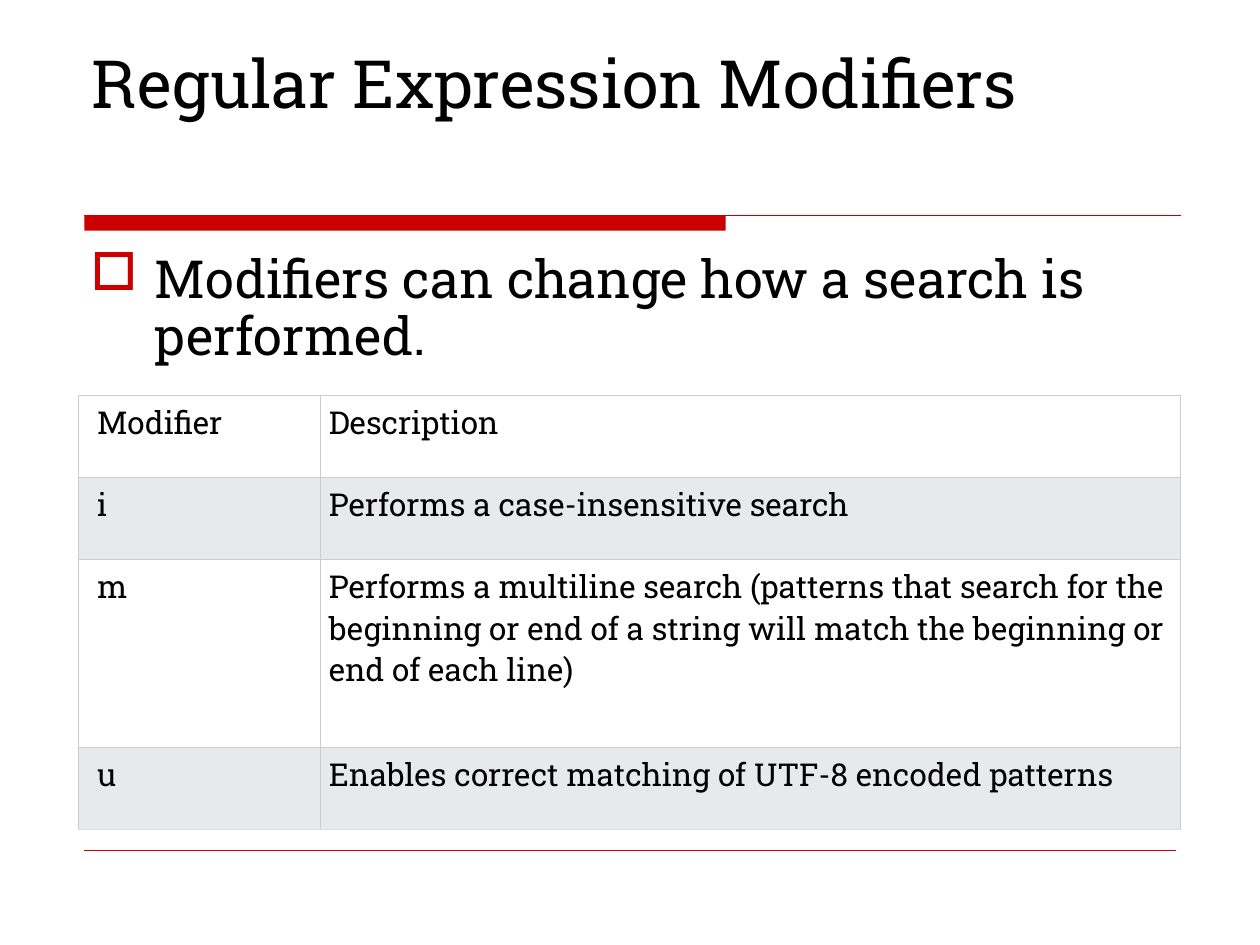
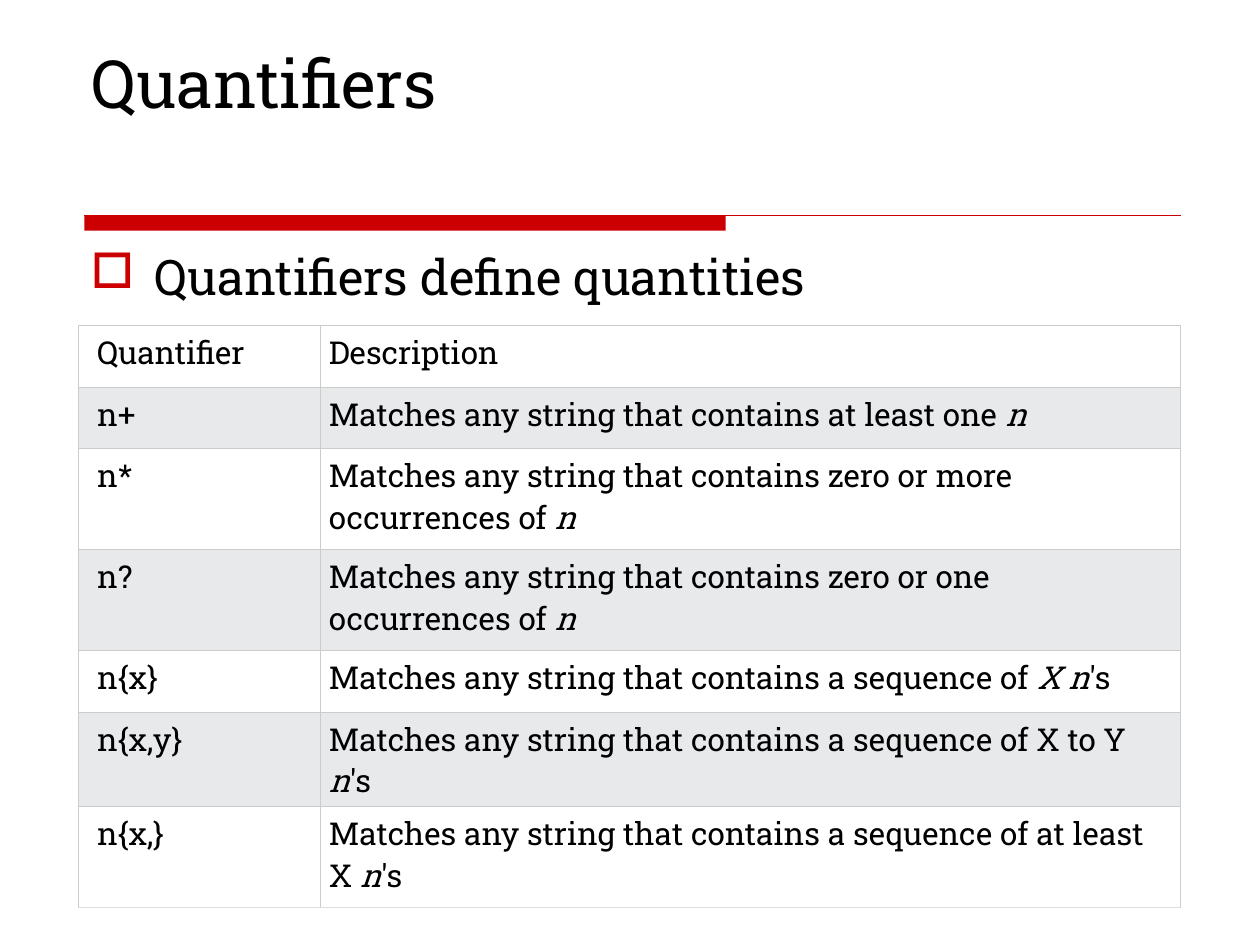
"""Build two slides on regular expression modifiers and quantifiers."""
from lxml import etree
from pptx import Presentation
from pptx.dml.color import RGBColor
from pptx.enum.shapes import MSO_CONNECTOR, MSO_SHAPE
from pptx.oxml import parse_xml
from pptx.oxml.ns import nsdecls, qn
from pptx.util import Emu, Inches, Pt

RECT = MSO_SHAPE.RECTANGLE
LINE = MSO_CONNECTOR.STRAIGHT
COLS, ROWS = 100, 75
UNIT = Inches(10) / COLS
FONT = "Roboto Slab"
RED, BLACK, WHITE, GREY = "CC0000", "000000", "FFFFFF", "E7E9EB"
EDGE, BASE = "CCCCCC", "DDDDDD"
LEFT, WIDE = 6.2, 87.5
SPLIT = (19.2, 68.3)

DECK = [
    {
        "title": "Regular Expression Modifiers",
        "lead": "Modifiers can change how a search is performed.",
        "size": 30,
        "top": 31.4,
        "rows": [
            (6.5, "Modifier", "Description"),
            (6.5, "i", "Performs a case-insensitive search"),
            (14.9, "m", "Performs a multiline search (patterns that search for the "
             "beginning or end of a string will match the beginning or end of each line)"),
            (6.5, "u", "Enables correct matching of UTF-8 encoded patterns"),
        ],
    },
    {
        "title": "Quantifiers",
        "lead": "Quantifiers define quantities",
        "size": 28,
        "top": 25.8,
        "rows": [
            (4.9, "Quantifier", "Description"),
            (4.9, "n+", "Matches any string that contains at least one _n_"),
            (8, "n*", "Matches any string that contains zero or more occurrences of _n_"),
            (8, "n?", "Matches any string that contains zero or one occurrences of _n_"),
            (4.9, "n{x}", "Matches any string that contains a sequence of _X n_'s"),
            (7.5, "n{x,y}", "Matches any string that contains a sequence of X to Y _n_'s"),
            (8, "n{x,}", "Matches any string that contains a sequence of at least X _n_'s"),
        ],
    },
]


def hue(code):
    return RGBColor.from_string(code)


def span(*cells):
    return [Emu(round(cell * UNIT)) for cell in cells]


deck = Presentation()
deck.slide_width, deck.slide_height = span(COLS, ROWS)

for page in DECK:
    slide = deck.slides.add_slide(deck.slide_layouts[6])
    shapes = slide.shapes

    bar = shapes.add_shape(RECT, *span(6.7, 17.1, 50.9, 1.2))
    bar.shadow.inherit = False
    bar.fill.solid()
    bar.fill.fore_color.rgb = hue(RED)
    bar.line.fill.background()

    for row, end, width in ((17.1, 93.7, 0.75), (67.5, 93.3, 0.25)):
        rule = shapes.add_connector(LINE, *span(6.7, row, end, row))
        rule.line.color.rgb = hue(RED)
        rule.line.width = Pt(width)
        etree.SubElement(rule._element.spPr, qn("a:effectLst"))

    for text, size, box, inset in (
        (page["title"], 38, (6.3, 3.3, WIDE, 13.3), 0),
        (page["lead"], page["size"], (LEFT, 19.2, WIDE, 46.7), 0.9),
    ):
        frame = shapes.add_textbox(*span(*box)).text_frame
        frame.word_wrap = True
        frame.margin_top = span(inset)[0]
        para = frame.paragraphs[0]
        para.text = text
        if text == page["lead"]:
            props = para._p.get_or_add_pPr()
            indent = span(5.1)[0]
            props.set("marL", str(indent))
            props.set("indent", str(-indent))
            tint = etree.SubElement(props, qn("a:buClr"))
            etree.SubElement(tint, qn("a:srgbClr"), val=RED)
            etree.SubElement(props, qn("a:buChar"), char="□")
            para.line_spacing = 0.9
        for key, value in {"name": FONT, "size": Pt(size)}.items():
            setattr(para.font, key, value)
        para.font.color.rgb = hue(BLACK)

    rows = page["rows"]
    tall = sum(row[0] for row in rows)
    area = span(LEFT, page["top"], WIDE, tall)
    table = shapes.add_table(len(rows), len(SPLIT), *area).table
    table.first_row = table.horz_banding = False
    for col, width in zip(table.columns, span(*SPLIT)):
        col.width = width

    for r, (height, *texts) in enumerate(rows):
        table.rows[r].height = span(height)[0]
        for c, text in enumerate(texts):
            cell = table.cell(r, c)
            pads = span(0.7 if c else 1.5, 0.5, 0.7, 0.5)
            for side, pad in zip(("left", "top", "right", "bottom"), pads):
                setattr(cell, f"margin_{side}", pad)
            props = cell._tc.get_or_add_tcPr()
            for side in "LRTB":
                last = side == "B" and r == len(rows) - 1
                props.append(parse_xml(
                    f'<a:ln{side} {nsdecls("a")} w="{Pt(0.34)}"><a:solidFill>'
                    f'<a:srgbClr val="{BASE if last else EDGE}"/>'
                    f'</a:solidFill></a:ln{side}>'))
            cell.fill.solid()
            cell.fill.fore_color.rgb = hue(GREY if r % 2 else WHITE)
            para = cell.text_frame.paragraphs[0]
            for i, part in enumerate(text.split("_")):
                if part:
                    run = para.add_run()
                    run.text = part
                    look = {"name": FONT, "size": Pt(18), "italic": i % 2 == 1}
                    for key, value in look.items():
                        setattr(run.font, key, value)
                    run.font.color.rgb = hue(BLACK)

deck.save("out.pptx")
